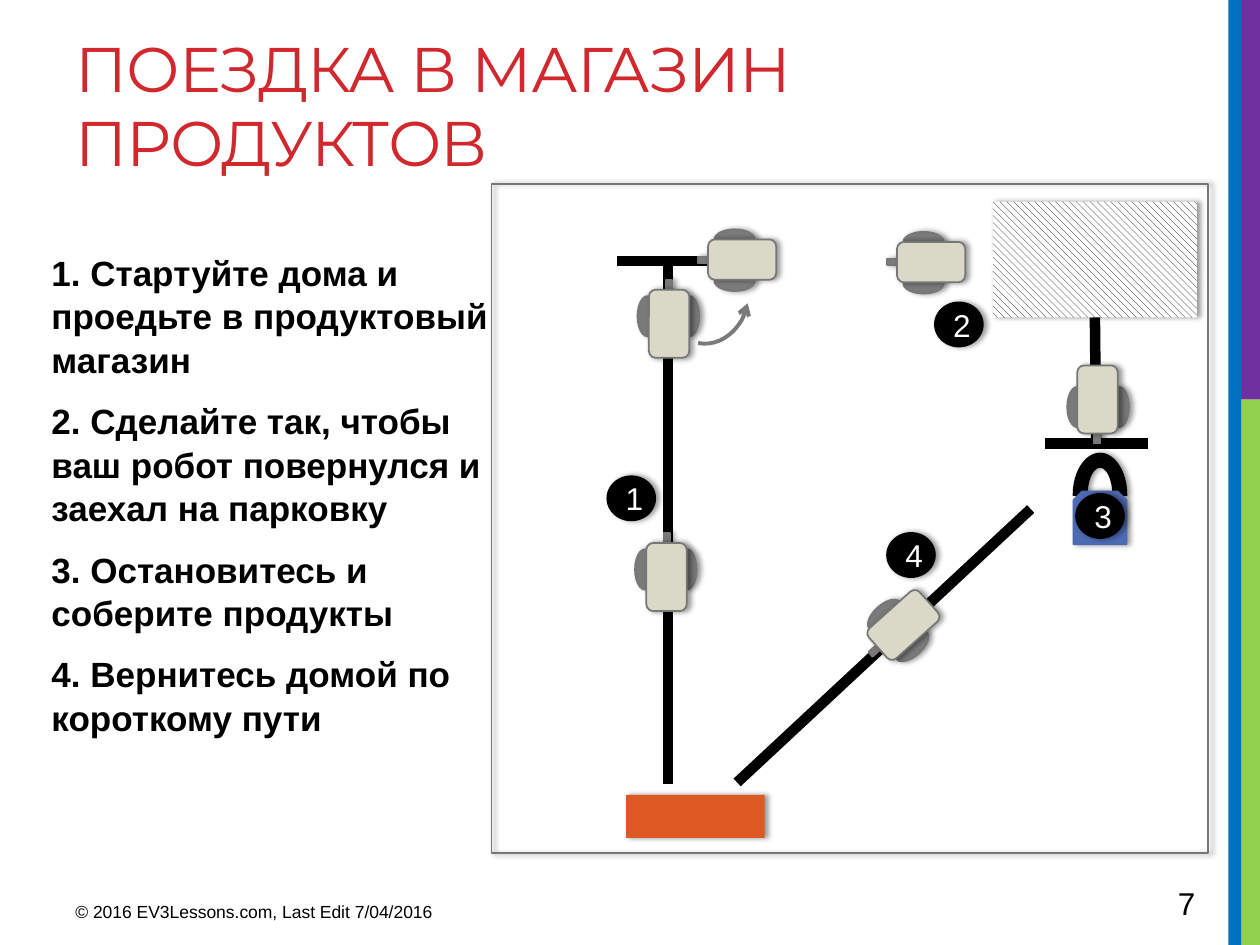
from dataclasses import dataclass
from math import cos, radians, sin

from lxml import etree
from pptx import Presentation
from pptx import util as u
from pptx.dml.color import RGBColor
from pptx.enum import dml, shapes, text
from pptx.oxml import ns

TITLE = "ПОЕЗДКА В МАГАЗИН ПРОДУКТОВ"
STEPS = [
    "1. Стартуйте дома и проедьте в продуктовый магазин",
    "2. Сделайте так, чтобы ваш робот повернулся и заехал на парковку",
    "3. Остановитесь и соберите продукты",
    "4. Вернитесь домой по короткому пути",
]
FOOTER = "© 2016 EV3Lessons.com, Last Edit 7/04/2016"
PAGE = "7"


@dataclass(frozen=True)
class Theme:
    font: str = "Arial"
    title_font: str = "Montserrat"
    title_size: float = 36
    body_size: float = 20
    label_size: float = 18
    footer_size: float = 10
    title: str = "D1282E"
    black: str = "000000"
    white: str = "FFFFFF"
    outline: str = "777777"
    metal: str = "7A7A7A"
    robot: str = "DAD9C8"
    home: str = "DC5924"
    jug: str = "4D6BB5"
    jug_outline: str = "4E6AAE"


THEME = Theme()
KIND = shapes.MSO_SHAPE

SIDE_BARS = [  # box, colour
    ((9.84, 3.17, 0.16, 4.33), "92D050"),
    ((9.8, 0, 0.2, 3.17), "7030A0"),
    ((9.75, 0, 0.1, 7.5), "0070C0"),
]
PANEL = (3.9, 1.46, 5.69, 5.31)
STORE = (7.88, 1.6, 1.62, 0.92)
HOME = (4.97, 6.31, 1.1, 0.34)
STORE_ROAD = (8.7, 3.52, 8.69, 2.52)
ROADS = [  # start and end points, colour
    ((5.3, 6.22, 5.3, 2.07), THEME.black),
    ((7.88, 2.07, 5.85, 2.07), THEME.white),
    ((5.85, 6.21, 8.18, 4.04), THEME.black),
    ((9.11, 3.52, 8.29, 3.52), THEME.black),
    ((5.71, 2.07, 4.9, 2.07), THEME.black),
]
ROBOT_PARTS = [  # kind, centre offset from the body, size, colour
    (KIND.OVAL, (-0.17, -0.06), (0.16, 0.32), THEME.metal),
    (KIND.OVAL, (0.16, -0.06), (0.16, 0.32), THEME.metal),
    (KIND.RECTANGLE, (0, -0.28), (0.05, 0.14), THEME.metal),
    (KIND.ROUNDED_RECTANGLE, (0, 0), (0.32, 0.54), THEME.robot),
]
ROBOTS = [  # body centre, heading in degrees
    ((5.29, 4.58), 0),
    ((7.39, 2.08), 270),
    ((8.71, 3.17), 180),
    ((7.17, 4.96), 228.2),
    ((5.89, 2.06), 270),
    ((5.31, 2.57), 0),
]
JUG_PARTS = [  # kind, box, fill, outline
    (KIND.BLOCK_ARC, (8.52, 3.6, 0.42, 0.66), THEME.black, THEME.black),
    (KIND.SNIP_2_SAME_RECTANGLE, (8.52, 3.9, 0.42, 0.42), THEME.jug, THEME.jug_outline),
]
BADGE_SIZE = (0.38, 0.35)
BADGES = [("2", (7.42, 2.4)), ("1", (4.82, 3.78)), ("3", (8.54, 3.92)), ("4", (7.04, 4.23))]
TURN = (5.23, 2.02, 0.77, 0.65)


def inches(values):
    return [u.Inches(value) for value in values]


def colour(value):
    return RGBColor.from_string(value)


def add_shadow(shape):
    effects = shape._element.spPr.find(ns.qn("a:effectLst"))
    shadow = etree.SubElement(effects, ns.qn("a:outerShdw"), blurRad=str(u.Pt(3.1)),
                              dist=str(u.Pt(1.8)), dir="0", rotWithShape="0")
    tint = etree.SubElement(shadow, ns.qn("a:srgbClr"), val=THEME.black)
    etree.SubElement(tint, ns.qn("a:alpha"), val="40000")


def add_shape(parent, kind, box, fill=None, line=None, width=1, shadow=True):
    shape = parent.add_shape(kind, *inches(box))
    shape.shadow.inherit = False
    if shadow:
        add_shadow(shape)
    if fill:
        shape.fill.solid()
        shape.fill.fore_color.rgb = colour(fill)
    else:
        shape.fill.background()
    if line:
        shape.line.color.rgb = colour(line)
        shape.line.width = u.Pt(width)
    else:
        shape.line.fill.background()
    return shape


def add_road(parent, points, line):
    road = parent.add_connector(shapes.MSO_CONNECTOR.STRAIGHT, *inches(points))
    road.line.color.rgb = colour(line)
    road.line.width = u.Pt(6)
    etree.SubElement(road._element.spPr, ns.qn("a:effectLst"))
    return road


def add_robot(parent, centre, heading):
    """Turn every part about the body centre, clockwise."""
    group = parent.add_group_shape()
    c, s = cos(radians(heading)), sin(radians(heading))
    for kind, (dx, dy), (width, height), fill in ROBOT_PARTS:
        x = centre[0] + dx * c - dy * s
        y = centre[1] + dx * s + dy * c
        box = (x - width / 2, y - height / 2, width, height)
        part = add_shape(group.shapes, kind, box, fill, THEME.outline)
        part.rotation = heading


def style(paragraph, size, tint=THEME.black, font=THEME.font, bold=False):
    for run in paragraph.runs:
        run.font.name = font
        run.font.size = u.Pt(size)
        run.font.bold = bold
        run.font.color.rgb = colour(tint)


def add_text(parent, box, content, size):
    frame = parent.add_textbox(*inches(box)).text_frame
    frame.word_wrap = True
    frame.text = content
    for paragraph in frame.paragraphs:
        style(paragraph, size)
    return frame


def main():
    presentation = Presentation()
    presentation.slide_width, presentation.slide_height = inches((10, 7.5))
    slide = presentation.slides.add_slide(presentation.slide_layouts[5])
    canvas = slide.shapes

    for box, fill in SIDE_BARS:
        add_shape(canvas, KIND.RECTANGLE, box, fill, shadow=False)
    add_shape(canvas, KIND.RECTANGLE, PANEL, line=THEME.outline)

    title = canvas.title
    title.left, title.top, title.width, title.height = inches((0.5, 0.17, 9.02, 1.5))
    frame = title.text_frame
    frame.text = TITLE
    frame.vertical_anchor = text.MSO_ANCHOR.TOP
    frame.margin_top = u.Inches(0.1)
    heading = frame.paragraphs[0]
    heading.alignment = text.PP_ALIGN.LEFT
    heading.line_spacing = 0.97
    style(heading, THEME.title_size, THEME.title, THEME.title_font)
    heading.runs[0].font._element.set("spc", "-60")

    steps = add_text(canvas, (0.31, 1.91, 3.78, 4.37), "\n".join(STEPS), THEME.body_size)
    steps.margin_top = u.Inches(0.07)
    for index, paragraph in enumerate(steps.paragraphs):
        style(paragraph, THEME.body_size, bold=True)
        paragraph.line_spacing = 1.04
        paragraph.space_before = u.Pt(4 if index else 0)
        paragraph.space_after = u.Pt(6)
    add_text(canvas, (0.5, 7.1, 3.75, 0.31), FOOTER, THEME.footer_size)
    add_text(canvas, (9.25, 6.97, 0.69, 0.4), PAGE, THEME.label_size)

    store = add_shape(canvas, KIND.RECTANGLE, STORE)
    store.fill.patterned()
    store.fill.pattern = dml.MSO_PATTERN.WIDE_DOWNWARD_DIAGONAL
    store.fill.fore_color.rgb = colour(THEME.black)
    store.fill.back_color.rgb = colour(THEME.white)
    add_shape(canvas, KIND.RECTANGLE, HOME, THEME.home)

    jug = canvas.add_group_shape()
    for kind, box, fill, line in JUG_PARTS:
        add_shape(jug.shapes, kind, box, fill, line)
    add_road(canvas, STORE_ROAD, THEME.black).end_connect(store, 2)
    for points, line in ROADS:
        add_road(canvas, points, line)
    for centre, angle in ROBOTS:
        add_robot(canvas, centre, angle)

    for label, corner in BADGES:
        badge = add_shape(canvas, KIND.OVAL, corner + BADGE_SIZE, THEME.black, THEME.black)
        frame = badge.text_frame
        frame.text = label
        frame.margin_left = u.Inches(0.05)
        frame.margin_right = frame.margin_top = frame.margin_bottom = 0
        frame.word_wrap = False
        frame.vertical_anchor = text.MSO_ANCHOR.MIDDLE
        frame.paragraphs[0].alignment = text.PP_ALIGN.CENTER
        style(frame.paragraphs[0], THEME.label_size, THEME.white)

    turn = add_shape(canvas, KIND.ARC, TURN, line=THEME.metal, width=2.25, shadow=False)
    turn.rotation = 101.1
    etree.SubElement(turn.line._get_or_add_ln(), ns.qn("a:headEnd"), type="arrow")

    presentation.save("out.pptx")


if __name__ == "__main__":
    main()
